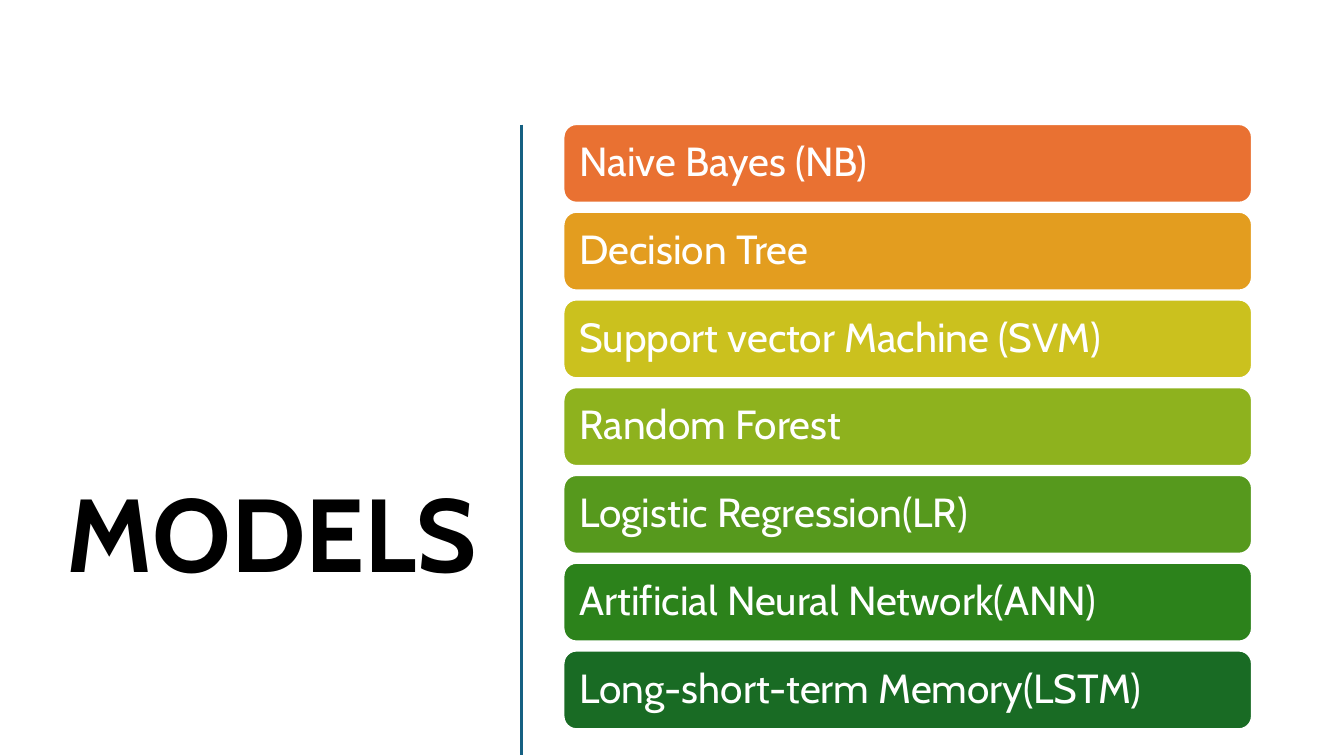
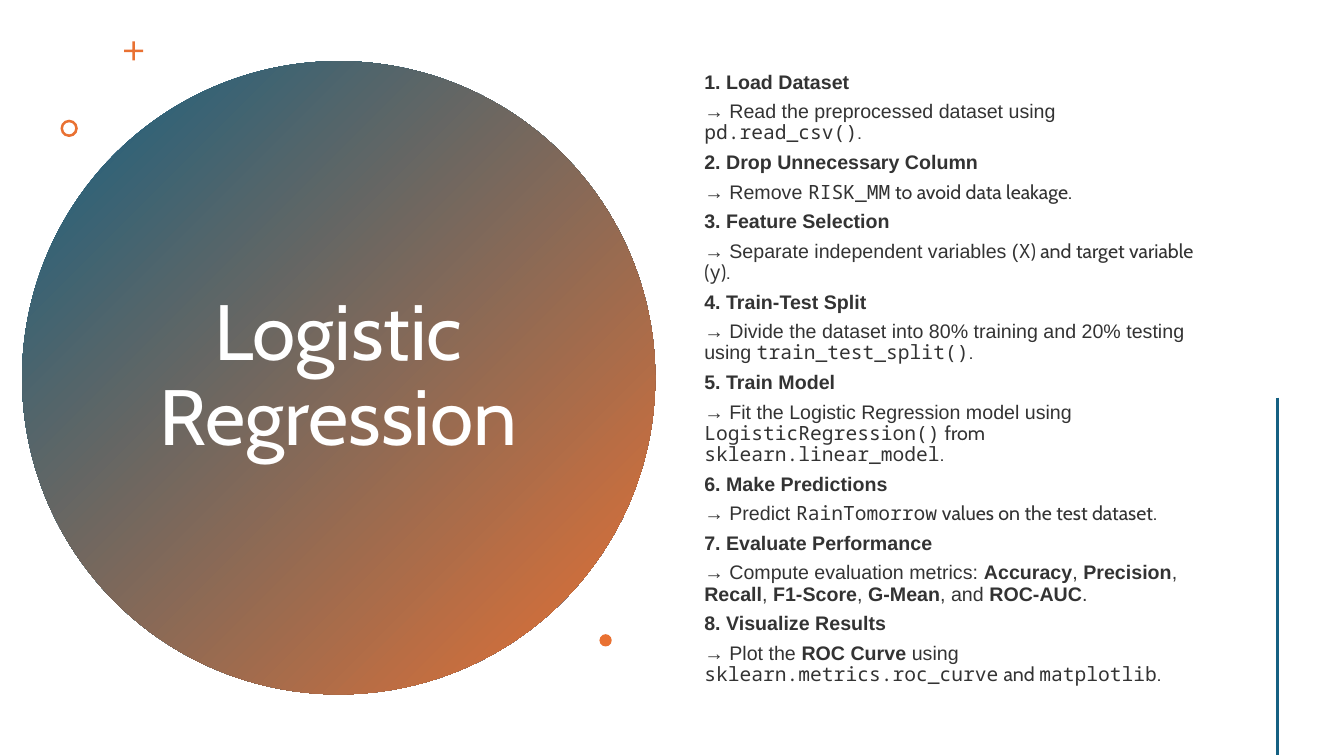
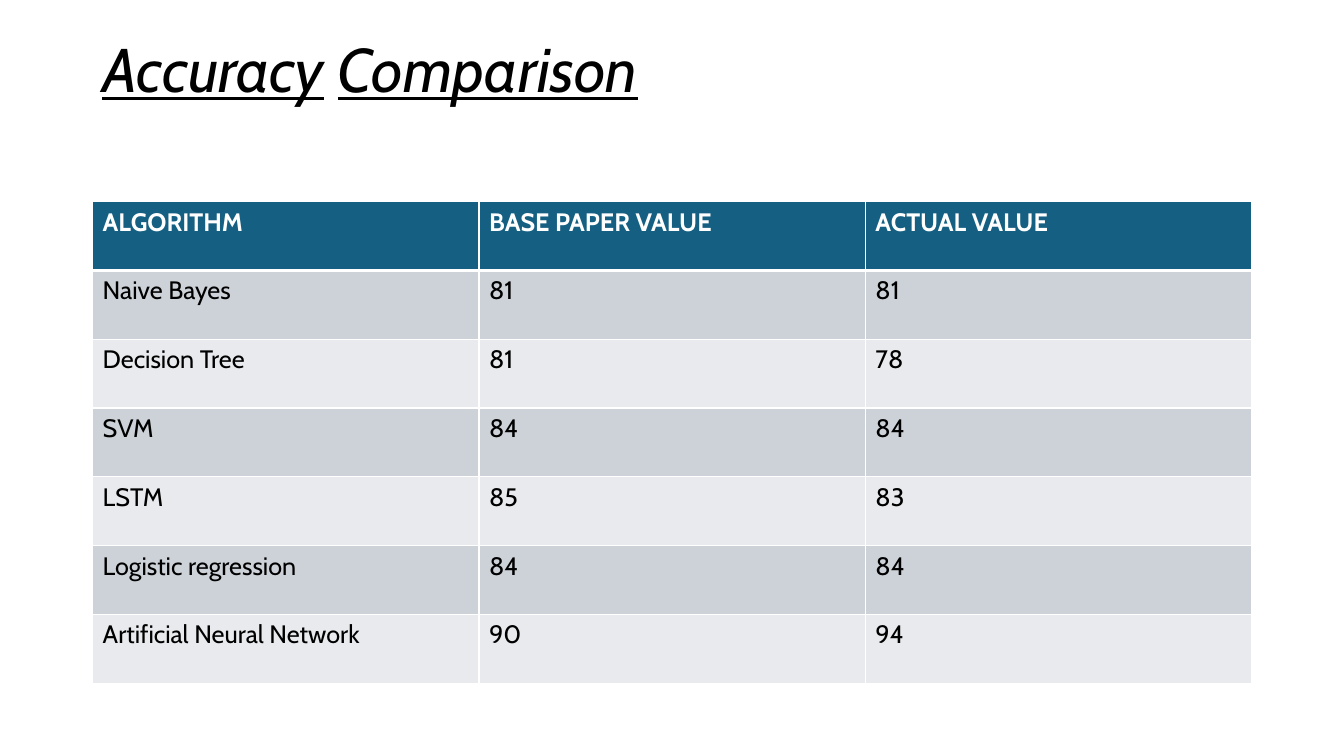
from dataclasses import dataclass
from typing import NamedTuple, Optional

from lxml.etree import SubElement
from pptx import Presentation
from pptx.dml.color import RGBColor
from pptx.enum.shapes import MSO_CONNECTOR, MSO_SHAPE
from pptx.enum.text import MSO_ANCHOR, MSO_AUTO_SIZE, PP_ALIGN
from pptx.oxml.ns import qn
from pptx.util import Pt


# Theme
@dataclass(frozen=True)
class Theme:
    blue: str = "156082"
    orange: str = "E97132"
    white: str = "FFFFFF"
    black: str = "000000"
    body_ink: str = "333333"
    row_dark: str = "CCD2D8"
    row_light: str = "E8EAED"
    main_font: str = "Cabin"
    body_font: str = "Arial"
    code_font: str = "Noto Sans Mono"
    banner_size: float = 74
    circle_size: float = 56
    heading_size: float = 44
    bar_size: float = 29
    table_size: float = 18
    body_size: float = 14
    line_spacing: float = 0.9


THEME = Theme()


class Frame(NamedTuple):
    left: float
    top: float
    width: float
    height: float

    def lengths(self) -> tuple:
        return tuple(Pt(value) for value in self)


class Span(NamedTuple):
    text: str
    font: str = THEME.main_font
    bold: bool = False
    italic: bool = False
    underline: bool = False


class Bar(NamedTuple):
    label: str
    color: str


class Step(NamedTuple):
    heading: str
    spans: list


class Ornament(NamedTuple):
    kind: MSO_SHAPE
    frame: Frame
    adjustment: Optional[float] = None


def plain(text: str) -> Span:
    return Span(text, THEME.body_font)


def strong(text: str) -> Span:
    return Span(text, THEME.body_font, bold=True)


def code(text: str) -> Span:
    return Span(text, THEME.code_font)


# Content
BARS = [
    Bar("Naive Bayes (NB)", THEME.orange),
    Bar("Decision Tree", "E39D1F"),
    Bar("Support vector Machine (SVM)", "CBC11E"),
    Bar("Random Forest", "8EB21E"),
    Bar("Logistic Regression(LR)", "56991D"),
    Bar("Artificial Neural Network(ANN)", "2C821B"),
    Bar("Long-short-term Memory(LSTM)", "196B24"),
]

STEPS = [
    Step("Load Dataset", [
        plain("Read the preprocessed dataset using "), code("pd.read_csv()"), Span(".")]),
    Step("Drop Unnecessary Column", [
        plain("Remove "), code("RISK_MM"), Span(" to avoid data leakage.")]),
    Step("Feature Selection", [
        plain("Separate independent variables ("), code("X"),
        Span(") and target variable ("), code("y"), Span(").")]),
    Step("Train-Test Split", [
        plain("Divide the dataset into 80% training and 20% testing using "),
        code("train_test_split()"), Span(".")]),
    Step("Train Model", [
        plain("Fit the Logistic Regression model using "), code("LogisticRegression()"),
        Span(" from "), code("sklearn.linear_model"), Span(".")]),
    Step("Make Predictions", [
        plain("Predict "), code("RainTomorrow"), Span(" values on the test dataset.")]),
    Step("Evaluate Performance", [
        plain("Compute evaluation metrics: "), strong("Accuracy"), plain(", "),
        strong("Precision"), plain(", "), strong("Recall"), plain(", "),
        strong("F1-Score"), plain(", "), strong("G-Mean"), plain(", and "),
        strong("ROC-AUC"), plain(".")]),
    Step("Visualize Results", [
        plain("Plot the "), strong("ROC Curve"), plain(" using "),
        code("sklearn.metrics.roc_curve"), Span(" and "), code("matplotlib"), Span(".")]),
]

ORNAMENTS = [
    Ornament(MSO_SHAPE.CROSS, Frame(88.6, 29.5, 13.7, 13.7), 0.43),
    Ornament(MSO_SHAPE.DONUT, Frame(43.2, 85.5, 12.4, 12.4), 0.15),
    Ornament(MSO_SHAPE.OVAL, Frame(428.2, 453, 8.8, 8.8)),
]

ACCURACY = [
    ("ALGORITHM", "BASE PAPER VALUE", "ACTUAL VALUE"),
    ("Naive Bayes", "81", "81"),
    ("Decision Tree", "81", "78"),
    ("SVM", "84", "84"),
    ("LSTM", "85", "83"),
    ("Logistic regression", "84", "84"),
    ("Artificial Neural Network", "90", "94"),
]


# Shared drawing helpers
def rgb(color: str) -> RGBColor:
    return RGBColor.from_string(color)


def write_spans(para, spans: list, size: float, color: str) -> None:
    for item in spans:
        span = para.add_run()
        span.text = item.text
        font = span.font
        font.name, font.size = item.font, Pt(size)
        font.bold, font.italic, font.underline = item.bold, item.italic, item.underline
        font.color.rgb = rgb(color)


def place_title(page, frame: Frame, spans: list, size: float,
                color: str = THEME.black, align=PP_ALIGN.LEFT) -> None:
    title = page.shapes.title
    title.left, title.top, title.width, title.height = frame.lengths()
    text = title.text_frame
    text.auto_size = MSO_AUTO_SIZE.NONE
    text.word_wrap = True
    text.vertical_anchor = MSO_ANCHOR.MIDDLE
    para = text.paragraphs[0]
    para.alignment, para.line_spacing = align, THEME.line_spacing
    write_spans(para, spans, size, color)
    page.shapes.element.append(title.element)  # bring to the front


def add_block(page, kind: MSO_SHAPE, frame: Frame, color: Optional[str] = None):
    block = page.shapes.add_shape(kind, *frame.lengths())
    block.shadow.inherit = False
    block.line.fill.background()
    if color:
        block.fill.solid()
        block.fill.fore_color.rgb = rgb(color)
    return block


def add_rule(page, x: float, top: float) -> None:
    """Vertical rule running down to the foot of the page."""
    rule = page.shapes.add_connector(
        MSO_CONNECTOR.STRAIGHT, Pt(x), Pt(top), Pt(x), Pt(539.5))
    rule.line.color.rgb = rgb(THEME.blue)
    rule.line.width = Pt(2)
    SubElement(rule.element.spPr, qn("a:effectLst"))


def set_borders(cell, widths: dict) -> None:
    properties = cell._tc.get_or_add_tcPr()
    for index, (side, width) in enumerate(widths.items()):
        line = SubElement(properties, qn(f"a:ln{side}"), w=str(Pt(width)))
        fill = SubElement(line, qn("a:solidFill"))
        SubElement(fill, qn("a:srgbClr"), val=THEME.white)
        properties.insert(index, line)


# Slides
def build_models(page) -> None:
    place_title(page, Frame(37.4, 335, 310.3, 100), [Span("MODELS", bold=True)],
                THEME.banner_size, align=PP_ALIGN.RIGHT)
    add_rule(page, 372.5, 89)
    for index, bar in enumerate(BARS):
        frame = Frame(402.5, 88.6 + index * 62.68, 491.8, 56.2)
        block = add_block(page, MSO_SHAPE.ROUNDED_RECTANGLE, frame, bar.color)
        block.line.color.rgb = rgb(THEME.white)
        block.line.width = Pt(1.5)
        text = block.text_frame
        text.word_wrap = True
        text.vertical_anchor = MSO_ANCHOR.MIDDLE
        text.margin_left = text.margin_right = Pt(8.7)
        para = text.paragraphs[0]
        para.alignment, para.line_spacing = PP_ALIGN.LEFT, THEME.line_spacing
        write_spans(para, [Span(bar.label)], THEME.bar_size, THEME.white)


def build_regression(page) -> None:
    # Gradient circle with the title on it
    circle = add_block(page, MSO_SHAPE.OVAL, Frame(15.8, 43.7, 452.3, 452.3))
    circle.fill.gradient()
    circle.fill.gradient_angle = 315
    for stop, color in zip(circle.fill.gradient_stops, (THEME.blue, THEME.orange)):
        stop.color.rgb = rgb(color)
    place_title(page, Frame(98, 101.5, 287.3, 336.2), [Span("Logistic Regression")],
                THEME.circle_size, THEME.white, PP_ALIGN.CENTER)
    for ornament in ORNAMENTS:
        block = add_block(page, ornament.kind, ornament.frame, THEME.orange)
        if ornament.adjustment is not None:
            block.adjustments[0] = ornament.adjustment

    # Numbered steps
    box = page.shapes.add_textbox(*Frame(496, 41, 376, 459.4).lengths())
    text = box.text_frame
    text.word_wrap = True
    text.vertical_anchor = MSO_ANCHOR.MIDDLE
    lines = []
    for number, step in enumerate(STEPS, start=1):
        lines += [[strong(f"{number}. {step.heading}")], [plain("→ "), *step.spans]]
    for index, spans in enumerate(lines):
        para = text.add_paragraph() if index else text.paragraphs[0]
        para.line_spacing, para.space_after = THEME.line_spacing, Pt(6)
        write_spans(para, spans, THEME.body_size, THEME.body_ink)
    add_rule(page, 912.5, 284)


def build_accuracy(page) -> None:
    words = [Span("Accuracy", italic=True, underline=True), Span(" "),
             Span("Comparison", italic=True, underline=True)]
    place_title(page, Frame(66, 22.3, 844.6, 59), words, THEME.heading_size)

    # Comparison table
    frame = Frame(66.2, 144, 828, 344.2)
    table = page.shapes.add_table(
        len(ACCURACY), len(ACCURACY[0]), *frame.lengths()).table
    for column in table.columns:
        column.width = Pt(frame.width / len(ACCURACY[0]))
    for row_index, values in enumerate(ACCURACY):
        table.rows[row_index].height = Pt(frame.height / len(ACCURACY))
        header = row_index == 0
        band = THEME.row_dark if row_index % 2 else THEME.row_light
        for column_index, value in enumerate(values):
            cell = table.cell(row_index, column_index)
            cell.fill.solid()
            cell.fill.fore_color.rgb = rgb(THEME.blue if header else band)
            set_borders(cell, {"L": 1, "R": 1, "T": 3 if row_index == 1 else 1,
                               "B": 3 if header else 1})
            write_spans(cell.text_frame.paragraphs[0], [Span(value, bold=header)],
                        THEME.table_size, THEME.white if header else THEME.black)


def main() -> None:
    deck = Presentation()
    deck.slide_width, deck.slide_height = Pt(960), Pt(540)
    title_only = deck.slide_layouts[5]
    for build in (build_models, build_regression, build_accuracy):
        build(deck.slides.add_slide(title_only))
    deck.save("out.pptx")


if __name__ == "__main__":
    main()
